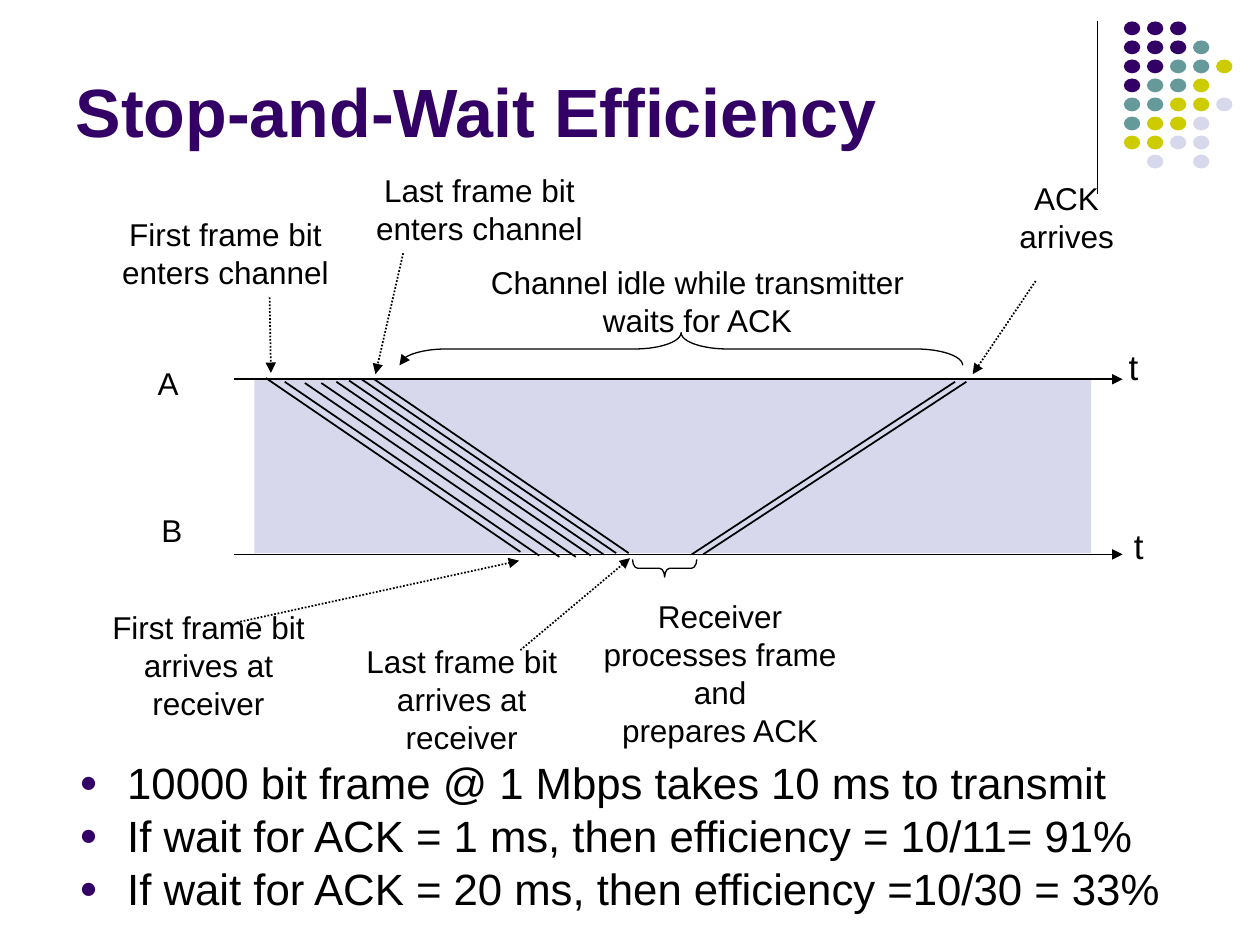
from collections import namedtuple

from lxml import etree
from pptx import Presentation
from pptx import util as u
from pptx.dml.color import RGBColor
from pptx.enum import dml, shapes, text
from pptx.oxml import ns

# The page is a grid of 100 columns by 75 rows
COLUMNS, ROWS = 100, 75
WIDTH, HEIGHT = u.Inches(10), u.Inches(7.5)
Box = namedtuple("Box", "left top width height")

PURPLE, TEAL, OLIVE, LILAC, BLACK = "330066", "669999", "CCCC00", "D8D8EC", "000000"
TITLE = {"name": "Arial", "size": u.Pt(39), "bold": True}
BODY = {"name": "Arial", "size": u.Pt(25), "bold": False}
LABEL = {"name": "Arial", "size": u.Pt(18)}
AXIS_LABEL = {"name": "Arial", "size": u.Pt(20)}
BULLET_LINE = {"line_spacing": 0.8, "space_after": u.Pt(0)}


def colour(code):
    return RGBColor.from_string(code)


def across(columns):
    return round(WIDTH * columns / COLUMNS)


def down(rows):
    return round(HEIGHT * rows / ROWS)


def extent(box):
    return across(box.left), down(box.top), across(box.width), down(box.height)


def inside(box, left, top, width=0, height=0):
    return Box(box.left + left, box.top + top, width, height)


def apply(target, values):
    for name, value in values.items():
        setattr(target, name, value)


def set_font(para, values, code):
    apply(para.font, values)
    para.font.color.rgb = colour(code)


def add_element(parent, tag, **attributes):
    return etree.SubElement(parent, ns.qn(tag), attributes)


def add_line(page, box, start, end, points=1, arrow=False, dotted=False):
    begin, finish = inside(box, *start), inside(box, *end)
    line = page.shapes.add_connector(
        shapes.MSO_CONNECTOR.STRAIGHT, across(begin.left), down(begin.top),
        across(finish.left), down(finish.top))
    line.line.color.rgb = colour(BLACK)
    line.line.width = u.Pt(points)
    if dotted:
        line.line.dash_style = dml.MSO_LINE.ROUND_DOT
    if arrow:
        add_element(line.line._get_or_add_ln(), "a:tailEnd", type="triangle")
    add_element(line._element.spPr, "a:effectLst")


def add_filled(page, kind, box, code):
    shape = page.shapes.add_shape(kind, *extent(box))
    shape.shadow.inherit = False
    shape.fill.solid()
    shape.fill.fore_color.rgb = colour(code)
    shape.line.fill.background()


def add_brace(page, box, turn, bend, arrow=False):
    """Turn an upright brace so that it lies along the given flat box."""
    upright = Box(box.left + (box.width - box.height) / 2,
                  box.top + (box.height - box.width) / 2, box.height, box.width)
    brace = page.shapes.add_shape(shapes.MSO_SHAPE.LEFT_BRACE, *extent(upright))
    brace.shadow.inherit = False
    brace.rotation = turn
    brace.adjustments[0] = bend
    brace.fill.background()
    brace.line.color.rgb = colour(BLACK)
    brace.line.width = u.Pt(0.75)
    if arrow:
        add_element(brace.line._get_or_add_ln(), "a:headEnd", type="triangle")


def add_label(page, box, lines, font=LABEL, wrap=True):
    frame = page.shapes.add_textbox(*extent(box)).text_frame
    frame.word_wrap = wrap
    frame.text = lines
    for para in frame.paragraphs:
        para.alignment = text.PP_ALIGN.CENTER
        set_font(para, font, BLACK)


def draw_ornament(page, box):
    """Vertical rule and the dots to its right."""
    add_line(page, box, (0, 0), (0, box.height), points=0.75)
    codes = {"P": PURPLE, "T": TEAL, "O": OLIVE, "L": LILAC}
    pattern = ["PPP", "PPPT", "PPTTO", "PTTO", "TTOOL", "TOOL", "OOLL", " L L"]
    for row, dots in enumerate(pattern):
        for column, key in enumerate(dots):
            if key in codes:
                dot = inside(box, 2.1 + 1.83 * column, 1.51 * row, 1.3, 1.1)
                add_filled(page, shapes.MSO_SHAPE.OVAL, dot, codes[key])


def fill_placeholder(holder, box, lines, anchor):
    apply(holder, dict(zip(("left", "top", "width", "height"), extent(box))))
    frame = holder.text_frame
    frame.text = "\n".join(lines)
    apply(frame, {"vertical_anchor": anchor, "word_wrap": True,
                  "auto_size": text.MSO_AUTO_SIZE.NONE})
    return frame.paragraphs


def draw_title(page, box):
    para, = fill_placeholder(page.shapes.title, box, ["Stop-and-Wait Efficiency"],
                             text.MSO_ANCHOR.BOTTOM)
    para.alignment = text.PP_ALIGN.LEFT
    set_font(para, TITLE, PURPLE)


def draw_bullets(page, box):
    lines = ["10000 bit frame @ 1 Mbps takes 10 ms to transmit",
             "If wait for ACK = 1 ms, then efficiency = 10/11= 91%",
             "If wait for ACK = 20 ms, then efficiency =10/30 = 33%"]
    paras = fill_placeholder(page.placeholders[1], box, lines, text.MSO_ANCHOR.TOP)
    for index, para in enumerate(paras):
        apply(para, BULLET_LINE)
        para.space_before = u.Pt(6.2 if index else 0)
        props = para._p.get_or_add_pPr()
        props.set("marL", str(across(3.8)))
        props.set("indent", str(-across(3.8)))
        add_element(add_element(props, "a:buClr"), "a:srgbClr", val=PURPLE)
        add_element(props, "a:buSzPct", val="70000")
        add_element(props, "a:buFont", typeface="Arial")
        add_element(props, "a:buChar", char="●")
        set_font(para, BODY, BLACK)


def draw_timeline(page, box):
    """Frame and ACK travelling between time axes A and B."""
    add_filled(page, shapes.MSO_SHAPE.RECTANGLE, inside(box, 13.2, 17.1, 66.4, 13.8), LILAC)
    for height in (17.1, 31):
        add_line(page, box, (11.6, height), (82.1, height), arrow=True)

    # Frame bits travel down, the ACK travels up
    bits = [(14.1, 17), (15.6, 17.3), (17.2, 17.4), (18.5, 17.4),
            (19.7, 17.3), (20.7, 17.2), (21.7, 17.1), (22.7, 17.1)]
    for left, top in bits:
        add_line(page, box, (left, top), (left + 20.2, top + 13.8))
    for left in (47.9, 48.8):
        add_line(page, box, (left, 31), (left + 20.9, 17.3))

    # Pointers from the labels to the events
    pointers = [((14.4, 10.6), (14.5, 16.6)), ((25, 7.1), (22.8, 16.7)),
                ((34.3, 38.6), (43, 31.3)), ((75.2, 9.3), (70.2, 16.7)),
                ((11.8, 36.4), (34.2, 31.5))]
    for start, end in pointers:
        add_line(page, box, start, end, arrow=True, dotted=True)

    # Idle time and processing time
    add_brace(page, inside(box, 24.7, 13.4, 44.7, 2.6), 90, 1.43, arrow=True)
    add_brace(page, inside(box, 43.2, 31.4, 5.1, 1.4), 270, 0.29)

    # Event labels
    labels = [("First frame bit enters channel", 0.6, 3.6, 20.6, 7),
              ("Last frame bit enters channel", 19.4, 0.1, 23.3, 7),
              ("Channel idle while transmitter waits for ACK", 29.4, 7.4, 37.9, 7),
              ("ACK arrives", 70.4, 0.7, 14.5, 7),
              ("First frame bit arrives at receiver", 0.2, 34.8, 18.7, 10),
              ("Last frame bit arrives at receiver", 20.3, 37.5, 18.7, 10),
              ("Receiver processes frame and\nprepares ACK", 39.1, 33.9, 22.1, 13)]
    for lines, *place in labels:
        add_label(page, inside(box, *place), lines)

    # Axis names
    for name, left, top in (("A", 4.5, 15.4), ("B", 4.8, 27.1)):
        add_label(page, inside(box, left, top, 3.7, 4), name, wrap=False)
    for left, top in ((81.6, 13.9), (82, 28.1)):
        add_label(page, inside(box, left, top, 2.7, 4.4), "t", AXIS_LABEL, wrap=False)


def main():
    deck = Presentation()
    deck.slide_width, deck.slide_height = WIDTH, HEIGHT
    page = deck.slides.add_slide(deck.slide_layouts[1])
    draw_ornament(page, Box(87.1, 1.7, 10.7, 13.7))
    draw_title(page, Box(5, 1.3, 82.5, 11.2))
    draw_bullets(page, Box(5.3, 60.3, 91, 12.8))
    draw_timeline(page, Box(7, 13, 86, 47))
    deck.save("out.pptx")


if __name__ == "__main__":
    main()
